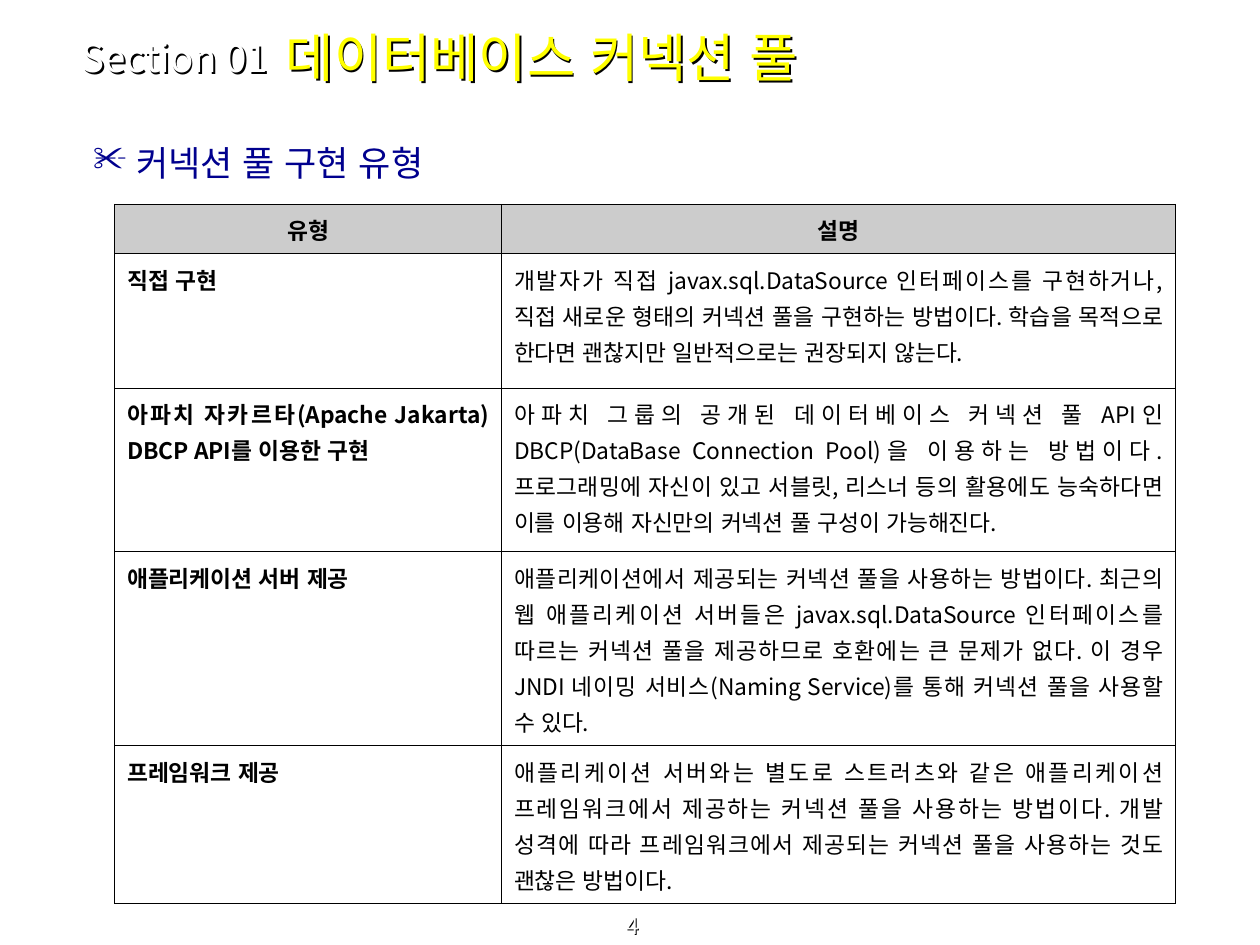
from lxml import etree
from pptx import Presentation
from pptx.dml.color import RGBColor
from pptx.enum.lang import MSO_LANGUAGE_ID
from pptx.enum.text import MSO_ANCHOR, PP_ALIGN
from pptx.oxml.ns import qn
from pptx.util import Inches, Pt

KOREAN = MSO_LANGUAGE_ID.KOREAN
MIDDLE, BOTTOM = MSO_ANCHOR.MIDDLE, MSO_ANCHOR.BOTTOM
LEFT, CENTER, JUSTIFY = PP_ALIGN.LEFT, PP_ALIGN.CENTER, PP_ALIGN.JUSTIFY
FONT = "Noto Sans CJK KR"

HEADERS = ["유형", "설명"]
POOL_TYPES = [
    ("직접 구현",
     "개발자가 직접 javax.sql.DataSource 인터페이스를 구현하거나, 직접 새로운 형태의 커넥션 풀을 "
     "구현하는 방법이다. 학습을 목적으로 한다면 괜찮지만 일반적으로는 권장되지 않는다."),
    ("아파치 자카르타(Apache Jakarta) DBCP API를 이용한 구현",
     "아파치 그룹의 공개된 데이터베이스 커넥션 풀 API인 DBCP(DataBase Connection Pool)을 "
     "이용하는 방법이다. 프로그래밍에 자신이 있고 서블릿, 리스너 등의 활용에도 능숙하다면 "
     "이를 이용해 자신만의 커넥션 풀 구성이 가능해진다."),
    ("애플리케이션 서버 제공",
     "애플리케이션에서 제공되는 커넥션 풀을 사용하는 방법이다. 최근의 웹 애플리케이션 서버들은 "
     "javax.sql.DataSource 인터페이스를 따르는 커넥션 풀을 제공하므로 호환에는 큰 문제가 없다. "
     "이 경우 JNDI 네이밍 서비스(Naming Service)를 통해 커넥션 풀을 사용할 수 있다."),
    ("프레임워크 제공",
     "애플리케이션 서버와는 별도로 스트러츠와 같은 애플리케이션 프레임워크에서 제공하는 커넥션 풀을 "
     "사용하는 방법이다. 개발 성격에 따라 프레임워크에서 제공되는 커넥션 풀을 사용하는 것도 "
     "괜찮은 방법이다."),
]


def rgb(value):
    """Turn a hex string into a colour."""
    return RGBColor.from_string(value)


def set_attrs(obj, values):
    """Set each named attribute of an object."""
    for name, value in values.items():
        setattr(obj, name, value)


def sub(parent, tag, **attrs):
    """Append a drawing element to a parent."""
    return etree.SubElement(parent, qn(tag), attrs)


def write(p, text, size, color, bold=False, align=LEFT):
    """Write one formatted run into a paragraph."""
    p.alignment = align
    r = p.add_run()
    r.text = text
    set_attrs(r.font, {"size": Pt(size), "bold": bold, "name": FONT,
                       "language_id": KOREAN})
    r.font.color.rgb = rgb(color)
    sub(r.font._element, "a:ea", typeface=FONT)


def add_shadow_text(s, box, text, size, color, anchor, align=LEFT):
    """Place a one-line text box whose letters cast a shadow."""
    sp = s.shapes.add_textbox(*map(Inches, box))
    tf = sp.text_frame
    set_attrs(tf, {"word_wrap": True, "vertical_anchor": anchor})
    write(tf.paragraphs[0], text, size, color, align=align)
    effects = sub(sp._element.spPr, "a:effectLst")
    shadow = sub(effects, "a:outerShdw", dist="17961", dir="2700000")
    sub(shadow, "a:srgbClr", val="000000")


def add_heading(s, box, text):
    """Place the heading with its scissors bullet."""
    tf = s.shapes.add_textbox(*map(Inches, box)).text_frame
    set_attrs(tf, {"word_wrap": True, "margin_left": 0})
    p = tf.paragraphs[0]
    pPr = p._p.get_or_add_pPr()
    pPr.set("marL", str(Inches(0.56)))
    pPr.set("indent", str(Inches(-0.34)))
    sub(sub(pPr, "a:buClr"), "a:srgbClr", val="00008E")
    sub(pPr, "a:buFont", typeface="OpenSymbol")
    sub(pPr, "a:buChar", char="✂")
    write(p, text, 20, "00008E")


def add_borders(cell):
    """Draw thin black lines on all sides of a cell."""
    tcPr = cell._tc.get_or_add_tcPr()
    for i, side in enumerate(("a:lnL", "a:lnR", "a:lnT", "a:lnB")):
        ln = etree.Element(qn(side), w=str(Pt(0.45)))
        sub(sub(ln, "a:solidFill"), "a:srgbClr", val="000000")
        tcPr.insert(i, ln)


def add_types_table(s, box):
    """Place the table of connection pool types."""
    rows = [HEADERS, *POOL_TYPES]
    frame = s.shapes.add_table(len(rows), len(HEADERS), *map(Inches, box))
    table = frame.table
    for col, width in zip(table.columns, (3.07, 5.35)):
        col.width = Inches(width)
    for row, height in zip(table.rows, (0.39, 1.07, 1.3, 1.54, 1.25)):
        row.height = Inches(height)
    for i, texts in enumerate(rows):
        for j, text in enumerate(texts):
            cell = table.cell(i, j)
            cell.fill.solid()
            cell.fill.fore_color.rgb = rgb("FFFFFF" if i else "CCCCCC")
            add_borders(cell)
            p = cell.text_frame.paragraphs[0]
            p.line_spacing = 1.1
            write(p, text, 13, "000000", i == 0 or j == 0,
                  JUSTIFY if i else CENTER)


def main():
    """Build and save the slide."""
    prs = Presentation()
    set_attrs(prs, {"slide_width": Inches(10), "slide_height": Inches(7.5)})
    s = prs.slides.add_slide(prs.slide_layouts[6])
    add_shadow_text(s, (0.02, 7.28, 10, 0.22), "4", 13, "FFFFFF", BOTTOM, CENTER)
    add_heading(s, (0.52, 1.07, 9, 0.5), "커넥션 풀 구현 유형")
    add_shadow_text(s, (2.17, 0.11, 6.49, 0.68), "데이터베이스 커넥션 풀",
                    30, "FFFF00", MIDDLE)
    add_shadow_text(s, (0.55, 0.27, 1.93, 0.37), "Section 01",
                    22, "FFFFFF", MIDDLE)
    add_types_table(s, (0.91, 1.62, 8.42, 5.55))
    prs.save("out.pptx")


if __name__ == "__main__":
    main()
